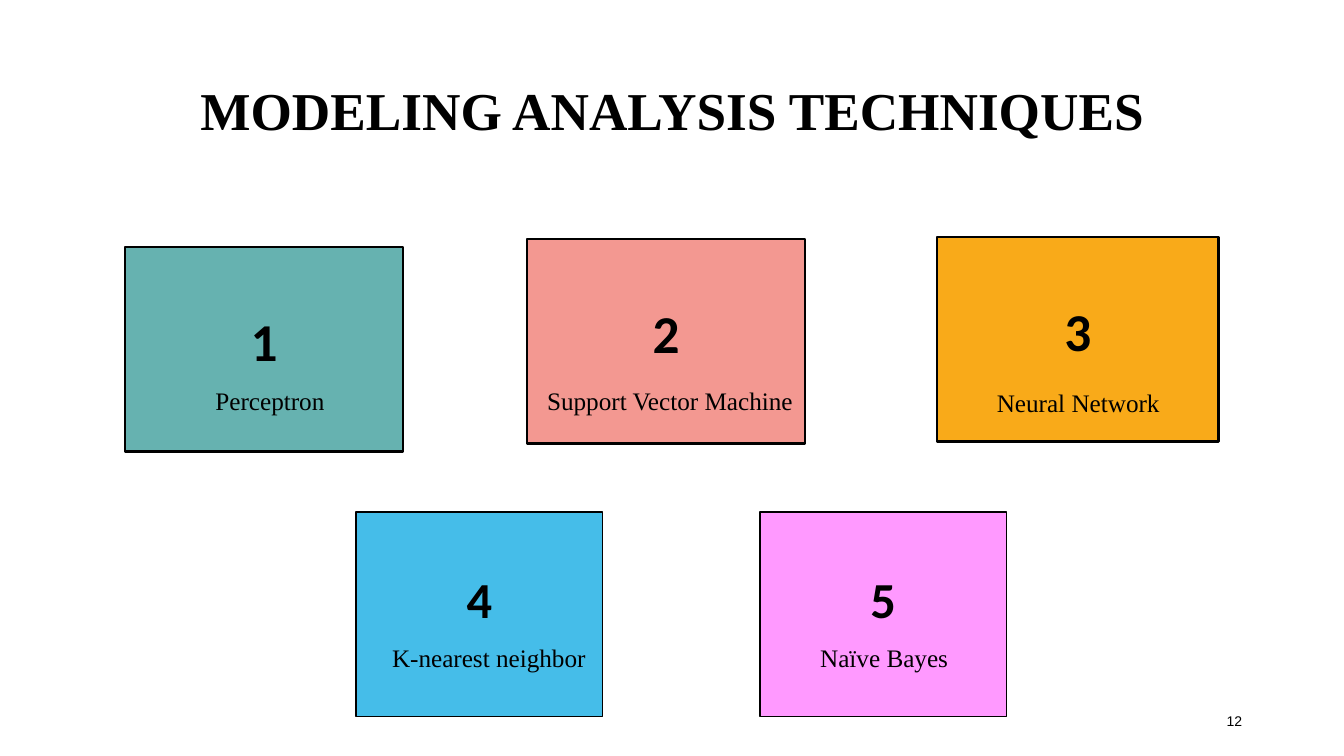
from dataclasses import dataclass

from pptx import Presentation
from pptx.dml.color import RGBColor
from pptx.enum.shapes import MSO_SHAPE
from pptx.enum.text import MSO_ANCHOR, PP_ALIGN
from pptx.util import Cm, Pt


@dataclass(frozen=True)
class Theme:
    ink: str = "000000"
    teal: str = "66B2B0"
    coral: str = "F39891"
    amber: str = "F9AA19"
    blue: str = "45BDE9"
    pink: str = "FF99FF"
    serif: str = "Times New Roman"
    digits: str = "Calibri"
    sans: str = "Arial"
    title_size: int = 38
    caption_size: int = 18
    page_size: int = 10


THEME = Theme()
TITLE = "MODELING ANALYSIS TECHNIQUES"
PAGE = "12"
TILE_HEIGHT = 5.16

UPPER = {"size": 38, "spacing": 0.9, "inset": 1.73, "border": 1.75}
LOWER = {"size": 36, "spacing": 1.0, "inset": 1.42, "border": 1}

TECHNIQUES = [
    ("1", "Perceptron", THEME.teal, UPPER,
     (3.15, 6.22, 7.01), (3.63, 9.58, 6.35), PP_ALIGN.CENTER),
    ("2", "Support Vector Machine", THEME.coral, UPPER,
     (13.28, 6.02, 7.01), (13.34, 9.58, 7.09), PP_ALIGN.CENTER),
    ("3", "Neural Network", THEME.amber, UPPER,
     (23.62, 5.97, 7.09), (24, 9.63, 6.35), PP_ALIGN.CENTER),
    ("4", "K-nearest neighbor", THEME.blue, LOWER,
     (8.97, 12.9, 6.22), (9.63, 16.05, 5.56), PP_ALIGN.LEFT),
    ("5", "Naïve Bayes", THEME.pink, LOWER,
     (19.15, 12.9, 6.22), (20.42, 16.05, 4.62), PP_ALIGN.LEFT),
]


def write(frame, text, font, size, align, anchor=MSO_ANCHOR.TOP, bold=False, spacing=1.0):
    frame.word_wrap = True
    frame.vertical_anchor = anchor
    line = frame.paragraphs[0]
    line.alignment = align
    line.line_spacing = spacing
    run = line.add_run()
    run.text = text
    run.font.name = font
    run.font.size = Pt(size)
    run.font.bold = bold
    run.font.color.rgb = RGBColor.from_string(THEME.ink)


def add_label(slide, left, top, width, height, *text, **style):
    label = slide.shapes.add_textbox(Cm(left), Cm(top), Cm(width), Cm(height))
    write(label.text_frame, *text, **style)


def add_tile(slide, number, fill, row, left, top, width):
    tile = slide.shapes.add_shape(
        MSO_SHAPE.RECTANGLE, Cm(left), Cm(top), Cm(width), Cm(TILE_HEIGHT))
    tile.shadow.inherit = False
    tile.fill.solid()
    tile.fill.fore_color.rgb = RGBColor.from_string(fill)
    tile.line.color.rgb = RGBColor.from_string(THEME.ink)
    tile.line.width = Pt(row["border"])
    tile.text_frame.margin_top = Cm(row["inset"])
    write(tile.text_frame, number, THEME.digits, row["size"], PP_ALIGN.CENTER,
          bold=True, spacing=row["spacing"])


def main():
    deck = Presentation()
    deck.slide_width, deck.slide_height = Cm(33.87), Cm(19.05)
    slide = deck.slides.add_slide(deck.slide_layouts[6])
    add_label(slide, 2.34, 1.02, 29.21, 3.68, TITLE, THEME.serif, THEME.title_size,
              PP_ALIGN.CENTER, MSO_ANCHOR.MIDDLE, bold=True, spacing=0.9)
    add_label(slide, 23.93, 17.65, 7.62, 1.02, PAGE, THEME.sans, THEME.page_size,
              PP_ALIGN.RIGHT, MSO_ANCHOR.MIDDLE)
    for number, caption, fill, row, tile_at, caption_at, align in TECHNIQUES:
        add_tile(slide, number, fill, row, *tile_at)
        add_label(slide, *caption_at, 1.02, caption, THEME.serif, THEME.caption_size, align)
    deck.save("out.pptx")


if __name__ == "__main__":
    main()
